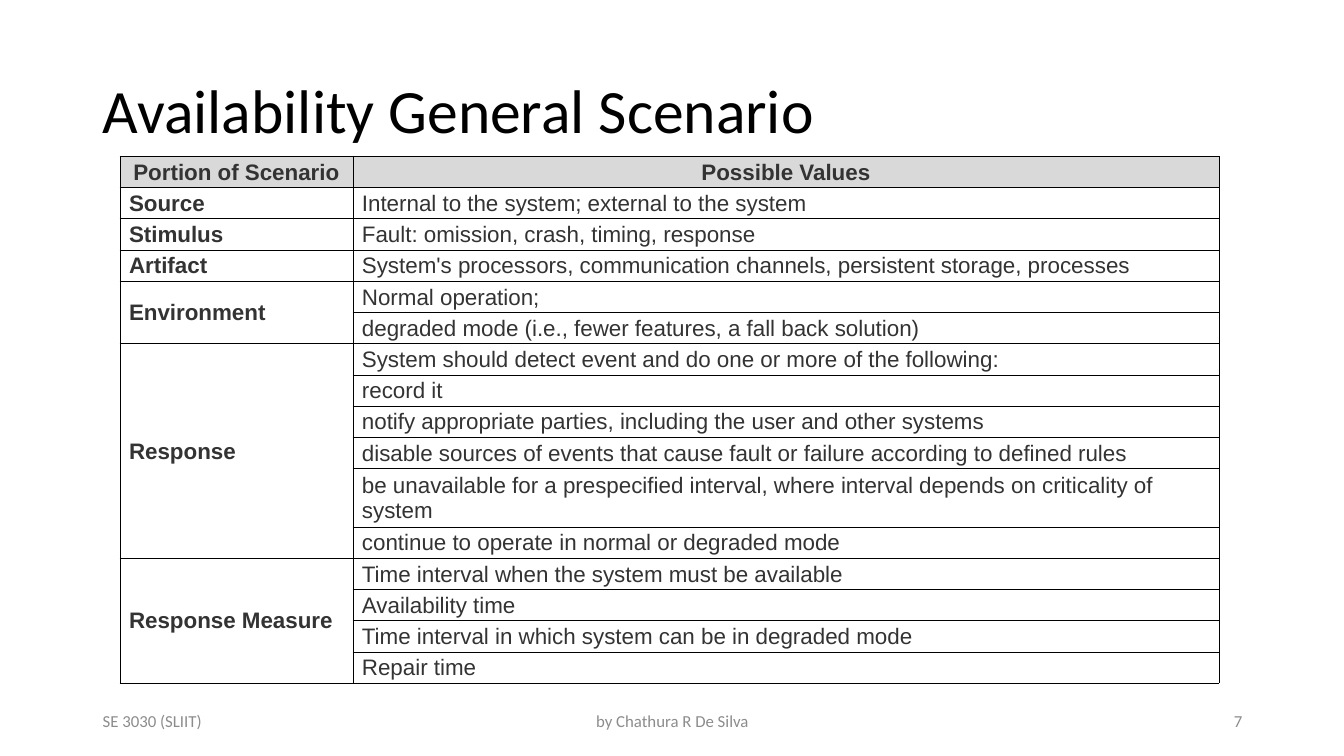
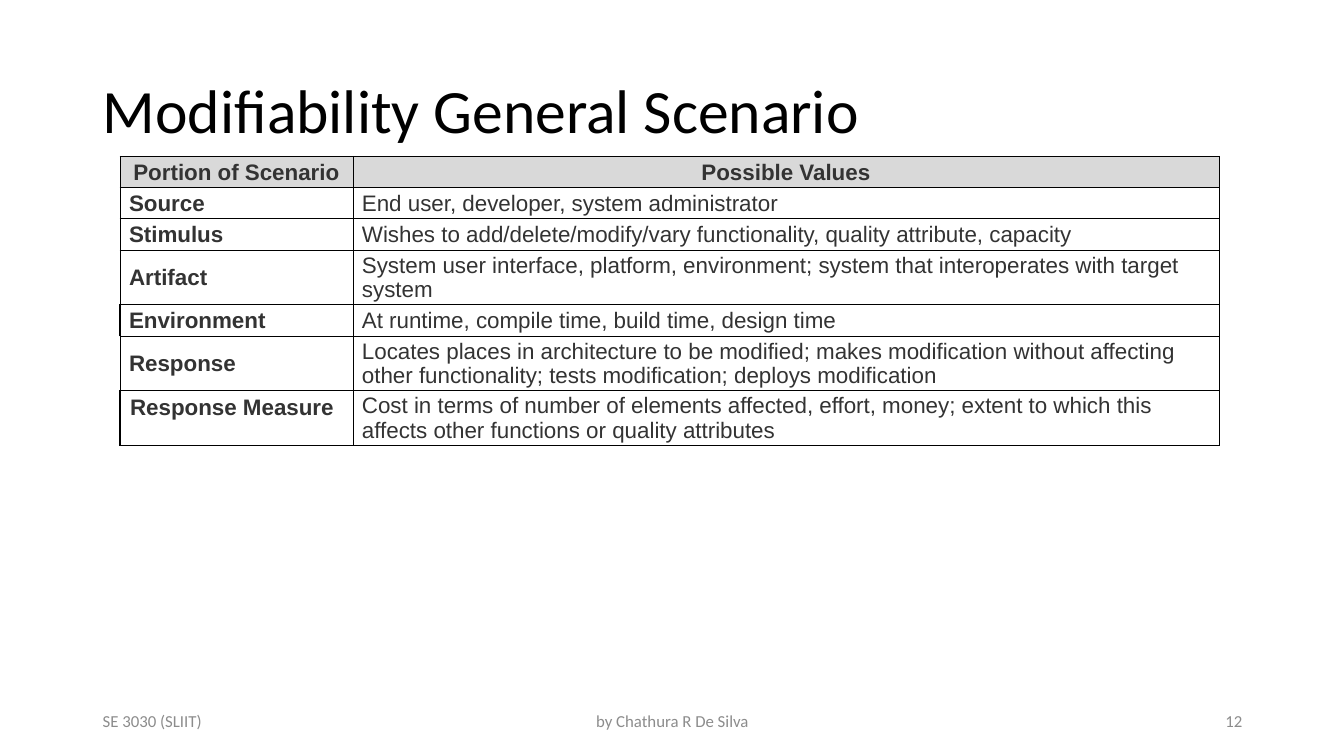
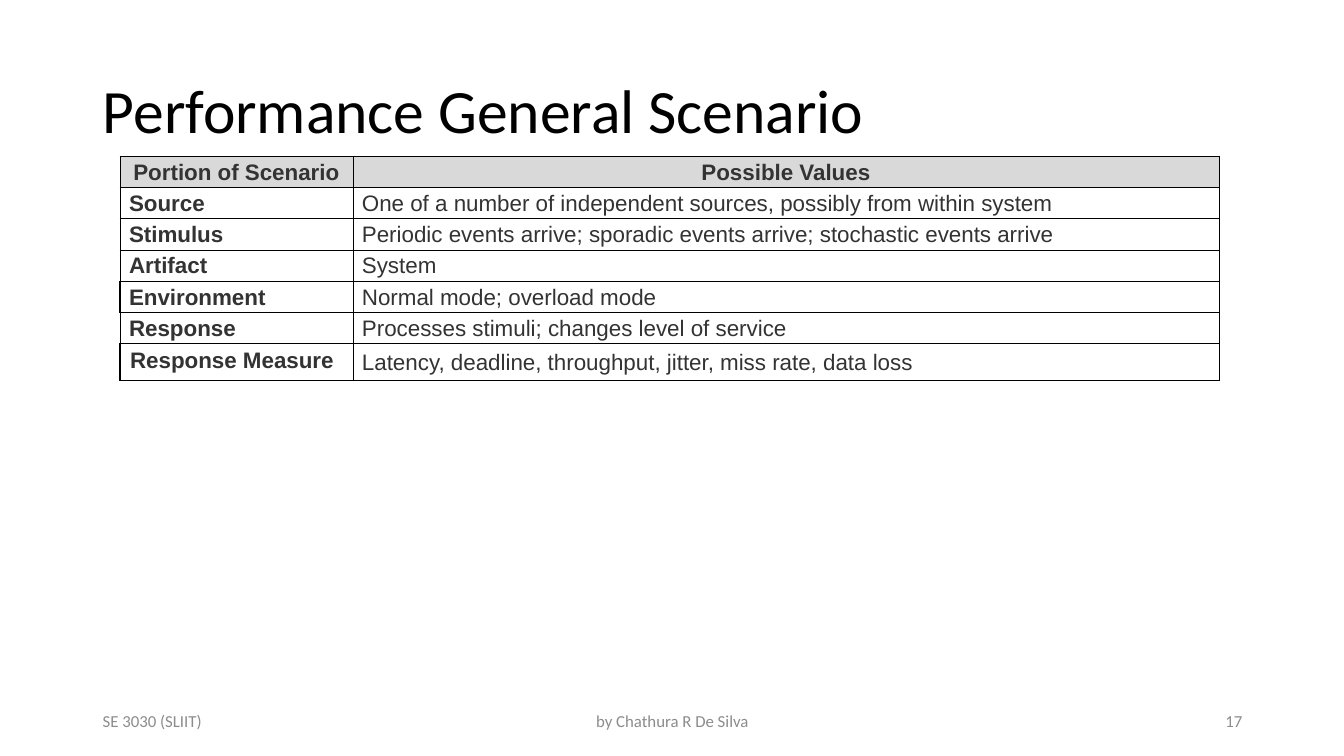
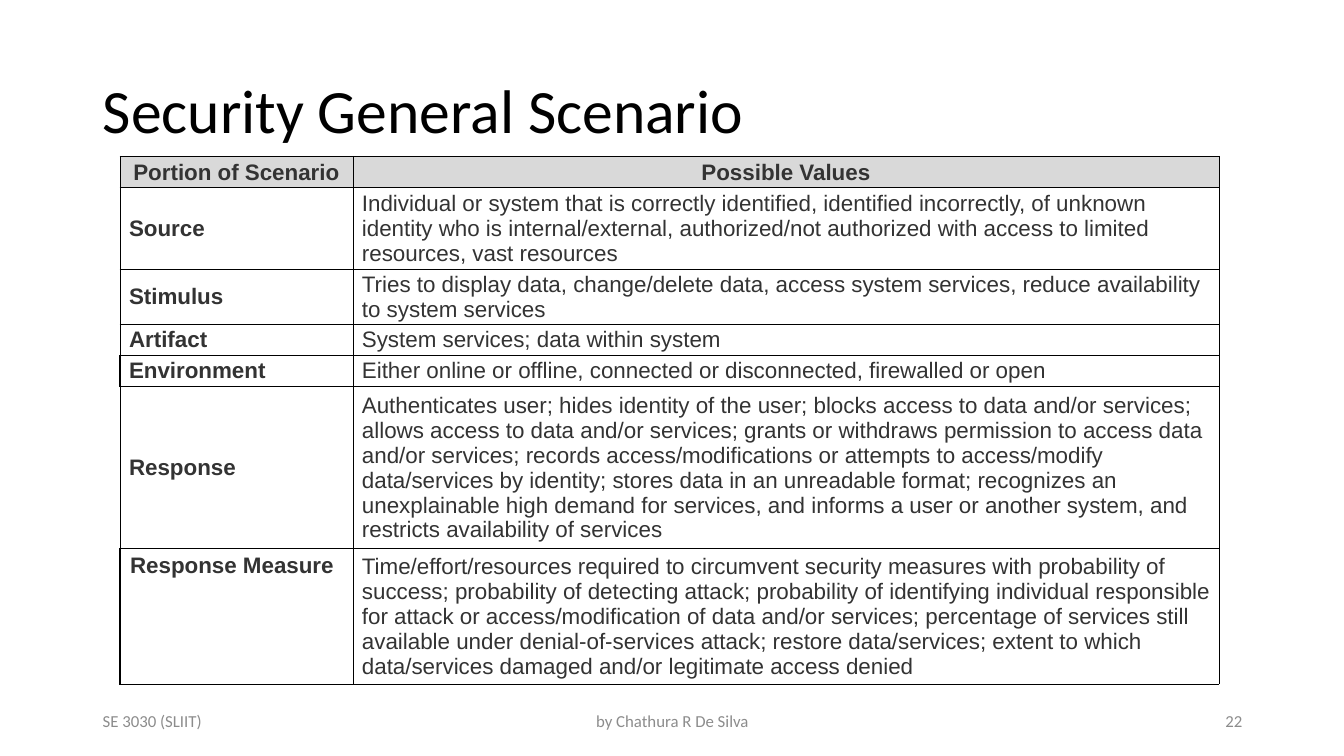
from lxml.etree import SubElement
from pptx import Presentation
from pptx.dml.color import RGBColor
from pptx.enum.text import MSO_ANCHOR as Anchor, PP_ALIGN as Align
from pptx.oxml.ns import qn
from pptx.util import Pt

# Shared look: 100 px to the inch
PX = 9144
COLORS = {"title": "000000", "footer": "8C8C8C", "text": "333333",
          "header": "D9D9D9", "border": "000000"}
TITLE_FONT, TABLE_FONT = "Calibri", "Arial"
TITLE_BOX = (92, 40, 1150, 145)
FOOTER_TOP, FOOTER_HEIGHT = 695, 40
TABLE_LEFT, TABLE_TOP = 119, 155
COLUMN_WIDTHS = (231, 859)
ROW_HEIGHT, TALL_ROW_HEIGHT = 31, 58
HEADINGS = ("Portion of Scenario", "Possible Values")

# Title, page number, then each portion with its values
SCENARIOS = [
    ("Availability General Scenario", 7, [
        ("Source", ["Internal to the system; external to the system"]),
        ("Stimulus", ["Fault: omission, crash, timing, response"]),
        ("Artifact", ["System's processors, communication channels, persistent storage, processes"]),
        ("Environment", [
            "Normal operation;",
            "degraded mode (i.e., fewer features, a fall back solution)"]),
        ("Response", [
            "System should detect event and do one or more of the following:",
            "record it",
            "notify appropriate parties, including the user and other systems",
            "disable sources of events that cause fault or failure according to defined rules",
            "be unavailable for a prespecified interval, where interval depends on "
            "criticality of system",
            "continue to operate in normal or degraded mode"]),
        ("Response Measure", [
            "Time interval when the system must be available",
            "Availability time",
            "Time interval in which system can be in degraded mode",
            "Repair time"]),
    ]),
    ("Modifiability General Scenario", 12, [
        ("Source", ["End user, developer, system administrator"]),
        ("Stimulus", ["Wishes to add/delete/modify/vary functionality, quality attribute, capacity"]),
        ("Artifact", ["System user interface, platform, environment; system that "
                      "interoperates with target system"]),
        ("Environment", ["At runtime, compile time, build time, design time"]),
        ("Response", ["Locates places in architecture to be modified; makes modification "
                      "without affecting other functionality; tests modification; "
                      "deploys modification"]),
        ("Response Measure", ["Cost in terms of number of elements affected, effort, money; "
                              "extent to which this affects other functions or quality "
                              "attributes"]),
    ]),
    ("Performance General Scenario", 17, [
        ("Source", ["One of a number of independent sources, possibly from within system"]),
        ("Stimulus", ["Periodic events arrive; sporadic events arrive; stochastic events arrive"]),
        ("Artifact", ["System"]),
        ("Environment", ["Normal mode; overload mode"]),
        ("Response", ["Processes stimuli; changes level of service"]),
        ("Response Measure", ["Latency, deadline, throughput, jitter, miss rate, data loss"]),
    ]),
    ("Security General Scenario", 22, [
        ("Source", ["Individual or system that is correctly identified, identified "
                    "incorrectly, of unknown identity who is internal/external, "
                    "authorized/not authorized with access to limited resources, "
                    "vast resources"]),
        ("Stimulus", ["Tries to display data, change/delete data, access system services, "
                      "reduce availability to system services"]),
        ("Artifact", ["System services; data within system"]),
        ("Environment", ["Either online or offline, connected or disconnected, "
                         "firewalled or open"]),
        ("Response", ["Authenticates user; hides identity of the user; blocks access to data "
                      "and/or services; allows access to data and/or services; grants or "
                      "withdraws permission to access data and/or services; records "
                      "access/modifications or attempts to access/modify data/services by "
                      "identity; stores data in an unreadable format; recognizes an "
                      "unexplainable high demand for services, and informs a user or another "
                      "system, and restricts availability of services"]),
        ("Response Measure", ["Time/effort/resources required to circumvent security measures "
                              "with probability of success; probability of detecting attack; "
                              "probability of identifying individual responsible for attack or "
                              "access/modification of data and/or services; percentage of "
                              "services still available under denial-of-services attack; "
                              "restore data/services; extent to which data/services damaged "
                              "and/or legitimate access denied"]),
    ]),
]


def px(*lengths):
    return [length * PX for length in lengths]


def write(frame, text, font, size, color, align=Align.LEFT, bold=False):
    frame.text = text
    para = frame.paragraphs[0]
    para.alignment = align
    for span in para.runs:
        span.font.name = font
        span.font.size = Pt(size)
        span.font.bold = bold
        span.font.color.rgb = RGBColor.from_string(COLORS[color])
    return para


# Title and footer
def set_title(page, text):
    title = page.shapes.title
    title.left, title.top, title.width, title.height = px(*TITLE_BOX)
    title.text_frame.vertical_anchor = Anchor.MIDDLE
    write(title.text_frame, text, TITLE_FONT, 44, "title").line_spacing = 0.9


def add_footer(page, number):
    for left, width, text, align in (
            (92, 300, "SE 3030 (SLIIT)", Align.LEFT),
            (442, 450, "by Chathura R De Silva", Align.CENTER),
            (942, 300, str(number), Align.RIGHT)):
        box = page.shapes.add_textbox(*px(left, FOOTER_TOP, width, FOOTER_HEIGHT))
        box.text_frame.word_wrap = True
        box.text_frame.vertical_anchor = Anchor.MIDDLE
        write(box.text_frame, text, TITLE_FONT, 12, "footer", align)


# Table
def set_borders(cell, left_width=0.5):
    properties = cell._tc.get_or_add_tcPr()
    for side in ("L", "R", "T", "B"):
        width = left_width if side == "L" else 0.5
        line = SubElement(properties, qn(f"a:ln{side}"), w=str(Pt(width)))
        fill = SubElement(line, qn("a:solidFill"))
        SubElement(fill, qn("a:srgbClr"), val=COLORS["border"])


def set_cell(cell, text, bold=False, header=False, loose=False, left_width=0.5):
    set_borders(cell, left_width)
    if header:
        cell.fill.solid()
        cell.fill.fore_color.rgb = RGBColor.from_string(COLORS["header"])
    else:
        cell.fill.background()
    if not loose:
        cell.vertical_anchor = Anchor.MIDDLE
        (cell.margin_left, cell.margin_top, cell.margin_right,
         cell.margin_bottom) = px(1 if header else 9, 1, 1, 0)
    write(cell.text_frame, text, TABLE_FONT, 16, "text",
          Align.CENTER if header else Align.LEFT, bold)


def add_scenario_table(page, portions):
    count = 1 + sum(len(values) for _, values in portions)
    table = page.shapes.add_table(count, 2, *px(
        TABLE_LEFT, TABLE_TOP, sum(COLUMN_WIDTHS), count * ROW_HEIGHT)).table
    table.first_row = table.horz_banding = False
    for column, width in zip(table.columns, COLUMN_WIDTHS):
        column.width = width * PX
    for row in table.rows:
        row.height = ROW_HEIGHT * PX
    for column, heading in enumerate(HEADINGS):
        set_cell(table.cell(0, column), heading, bold=True, header=True)

    first = 1
    for portion, values in portions:
        single = len(values) == 1
        heavy = single and portion in ("Environment", "Response Measure")
        for row, value in enumerate(values, first):
            set_cell(table.cell(row, 0), portion if row == first else "", bold=True,
                     loose=single and portion == "Response Measure",
                     left_width=1 if heavy else 0.5)
            set_cell(table.cell(row, 1), value)
            # A value that wraps within a merged portion gets a taller row
            if not single and len(value) > 85:
                table.rows[row].height = TALL_ROW_HEIGHT * PX
        last = first + len(values) - 1
        if not single:
            table.cell(first, 0).merge(table.cell(last, 0))
        first = last + 1


def main():
    deck = Presentation()
    deck.slide_width, deck.slide_height = px(1333, 750)
    for title, number, portions in SCENARIOS:
        page = deck.slides.add_slide(deck.slide_layouts[5])
        set_title(page, title)
        add_footer(page, number)
        add_scenario_table(page, portions)
    deck.save("out.pptx")


if __name__ == "__main__":
    main()
